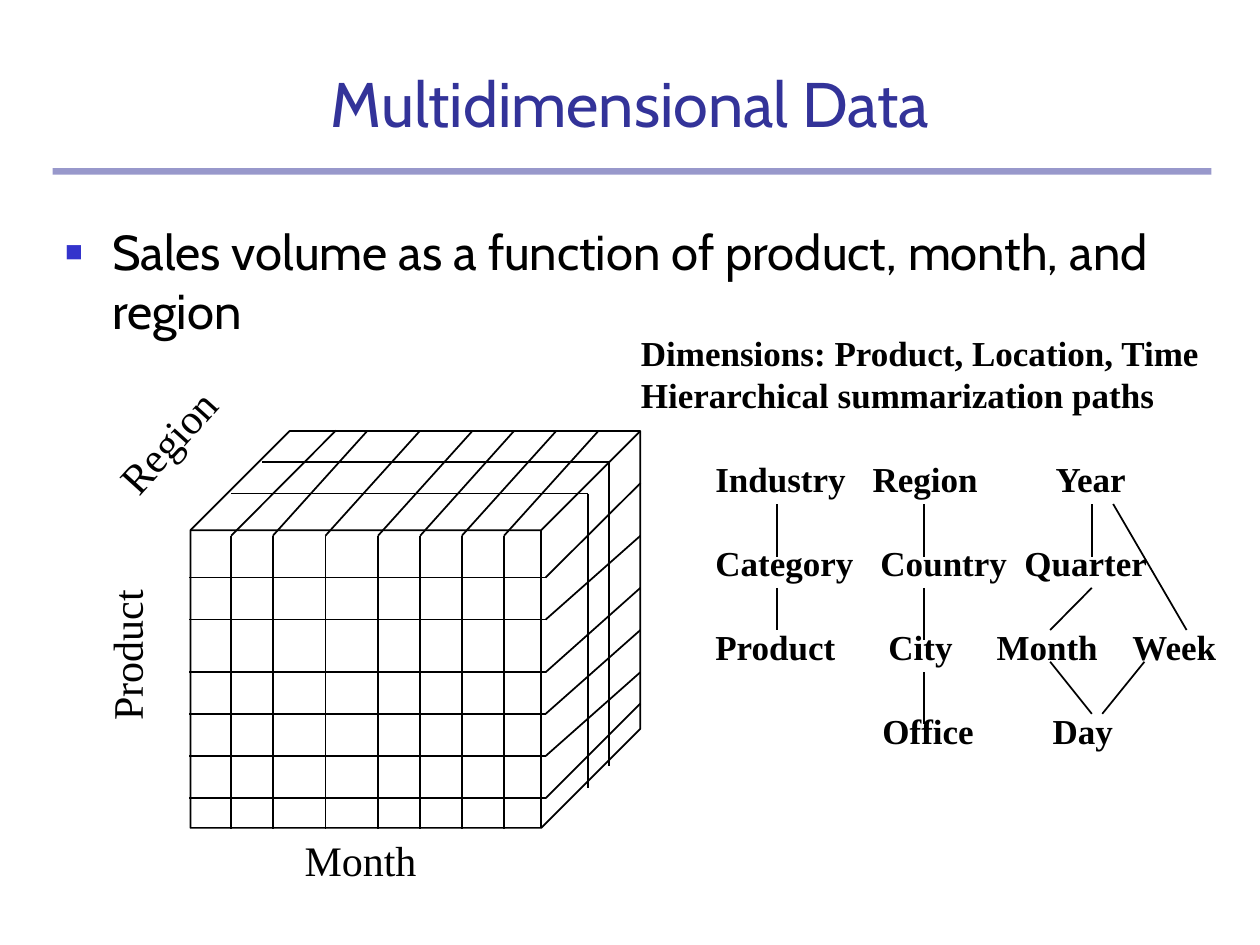
from dataclasses import dataclass

from lxml.etree import SubElement
from pptx import Presentation
from pptx.dml.color import RGBColor
from pptx.enum.shapes import MSO_CONNECTOR, MSO_SHAPE
from pptx.enum.text import MSO_ANCHOR, PP_ALIGN
from pptx.oxml.ns import qn
from pptx.util import Cm, Pt

HUES = {"title": "333399", "bullet": "3333CC", "ink": "000000"}
SANS, SERIF = "Cabin", "Times New Roman"


@dataclass
class Line:
    x1: float
    y1: float
    x2: float
    y2: float


@dataclass
class Label:
    text: str
    x: float
    y: float
    w: float
    turn: float = 0
    wrap: bool = False


@dataclass
class Level:
    names: list[str]
    tabs: list[float]


def color(name: str) -> RGBColor:
    return RGBColor.from_string(HUES[name])


def place(shape, x: float, y: float, w: float, h: float) -> None:
    shape.left, shape.top, shape.width, shape.height = Cm(x), Cm(y), Cm(w), Cm(h)


def add_run(para, text: str, size: int, face: str,
            hue: str = "ink", bold: bool = False) -> None:
    run = para.add_run()
    run.text = text
    font = run.font
    font.size, font.name, font.bold = Pt(size), face, bold
    font.color.rgb = color(hue)


def add_box(slide, x: float, y: float, w: float, h: float, wrap: bool = False):
    box = slide.shapes.add_textbox(Cm(x), Cm(y), Cm(w), Cm(h))
    box.text_frame.word_wrap = wrap
    return box


def add_label(slide, item: Label) -> None:
    box = add_box(slide, item.x, item.y, item.w, 1.27, item.wrap)
    box.rotation = item.turn
    add_run(box.text_frame.paragraphs[0], item.text, 24, SERIF)


def add_line(slide, item: Line) -> None:
    line = slide.shapes.add_connector(
        MSO_CONNECTOR.STRAIGHT, Cm(item.x1), Cm(item.y1), Cm(item.x2), Cm(item.y2))
    line.line.color.rgb = color("ink")
    line.line.width = Pt(1)
    SubElement(line._element.spPr, qn("a:effectLst"))


def add_level(para, item: Level) -> None:
    stops = SubElement(para._p.get_or_add_pPr(), qn("a:tabLst"))
    for pos in item.tabs:
        SubElement(stops, qn("a:tab"), pos=str(Cm(pos)), algn="l")
    add_run(para, "\t".join(item.names), 20, SERIF, bold=True)


def set_bullet(para) -> None:
    props = para._p.get_or_add_pPr()
    props.set("marL", str(Cm(0.95)))
    props.set("indent", str(Cm(-0.95)))
    tint = SubElement(props, qn("a:buClr"))
    SubElement(tint, qn("a:srgbClr"), val=HUES["bullet"])
    SubElement(props, qn("a:buSzPct"), val="60000")
    SubElement(props, qn("a:buFont"), typeface="Arial")
    SubElement(props, qn("a:buChar"), char="■")


def cube_lines() -> list[Line]:
    left, edge, right = 3.81, 11, 12.91
    back, front, base = 8.68, 10.8, 16.72
    lines = []
    # Product rows, on the front and the side
    rows = [(11.64, 9.74), (12.49, 10.8), (13.55, 11.85),
            (14.39, 12.7), (15.24, 13.55), (16.09, 14.18)]
    for y, end in rows:
        lines += [Line(left, y, edge, y), Line(edge, y, right, end)]
    # Month columns, on the front and the top
    cols = [(4.66, 6.77), (5.5, 7.41), (6.56, 8.47), (7.62, 9.53),
            (8.47, 10.37), (9.31, 11.22), (10.16, 12.07)]
    for x, end in cols:
        lines += [Line(x, front, x, base), Line(x, front, end, back)]
    # Region slices, on the top and the side
    for x, y, end, foot in [(5.29, 9.31, 12.28, 15.45), (4.66, 9.95, 11.85, 15.88)]:
        lines += [Line(x, y, end, y), Line(end, y, end, foot)]
    return lines


LABELS = [
    Label("Product", 0.97, 12.57, 3.15, 270),
    Label("Region", 1.9, 8.26, 2.95, 312, True),
    Label("Month", 5.89, 16.69, 2.77),
]

LEVELS = [
    Level(["Industry", "Region", "Year"], [3.17, 6.86]),
    Level(["Category", "Country", "Quarter"], [3.33, 6.23]),
    Level(["Product", "City", "Month", "Week"], [3.49, 5.67, 8.41]),
    Level(["", "Office", "Day"], [3.37, 6.8]),
]

LINKS = [
    Line(15.66, 10.16, 15.66, 11.22),
    Line(18.63, 10.16, 18.63, 11.22),
    Line(22.01, 10.16, 22.01, 11.22),
    Line(15.66, 11.85, 15.66, 12.7),
    Line(18.63, 11.85, 18.63, 12.91),
    Line(18.63, 13.55, 18.63, 14.6),
    Line(22.01, 11.85, 21.17, 12.7),
    Line(22.44, 10.16, 23.92, 12.7),
    Line(21.17, 13.34, 22.01, 14.39),
    Line(23.07, 13.34, 22.22, 14.39),
]


def main() -> None:
    deck = Presentation()
    deck.slide_width, deck.slide_height = Cm(25.4), Cm(19.05)
    slide = deck.slides.add_slide(deck.slide_layouts[1])
    title, body = slide.placeholders

    # Title and rule
    place(title, 1.06, 1.06, 23.28, 1.9)
    title.text_frame.vertical_anchor = MSO_ANCHOR.BOTTOM
    head = title.text_frame.paragraphs[0]
    head.alignment = PP_ALIGN.CENTER
    add_run(head, "Multidimensional Data", 36, SANS, "title")
    rule = slide.shapes.add_shape(
        MSO_SHAPE.RECTANGLE, Cm(1.06), Cm(3.39), Cm(23.36), Cm(0.13))
    rule.shadow.inherit = False
    rule.fill.solid()
    rule.fill.fore_color.rgb = color("title")
    tint = rule._element.spPr.find(qn("a:solidFill"))[0]
    SubElement(tint, qn("a:alpha"), val="50000")
    rule.line.fill.background()

    # Bullet
    place(body, 1.06, 4.34, 23.06, 12.7)
    point = body.text_frame.paragraphs[0]
    set_bullet(point)
    point.space_before = Pt(0)
    add_run(point, "Sales volume as a function of product, month, and region", 28, SANS)

    # Data cube
    cube = slide.shapes.add_shape(
        MSO_SHAPE.CUBE, Cm(3.84), Cm(8.69), Cm(9.07), Cm(8))
    cube.adjustments[0] = 0.25
    cube.shadow.inherit = False
    cube.fill.background()
    cube.line.color.rgb = color("ink")
    cube.line.width = Pt(1)
    for item in cube_lines():
        add_line(slide, item)
    for item in LABELS:
        add_label(slide, item)

    # Dimension notes
    notes = add_box(slide, 12.67, 6.55, 11.81, 1.96).text_frame
    add_run(notes.paragraphs[0], "Dimensions: Product, Location, Time", 20, SERIF, bold=True)
    add_run(notes.add_paragraph(), "Hierarchical summarization paths", 20, SERIF, bold=True)

    # Hierarchies
    tree = add_box(slide, 14.17, 9.09, 10.9, 6.2, True).text_frame
    for i, item in enumerate(LEVELS):
        para = tree.add_paragraph() if i else tree.paragraphs[0]
        if i:
            para.space_before = Pt(24)
        add_level(para, item)
    for item in LINKS:
        add_line(slide, item)

    deck.save("out.pptx")


if __name__ == "__main__":
    main()
